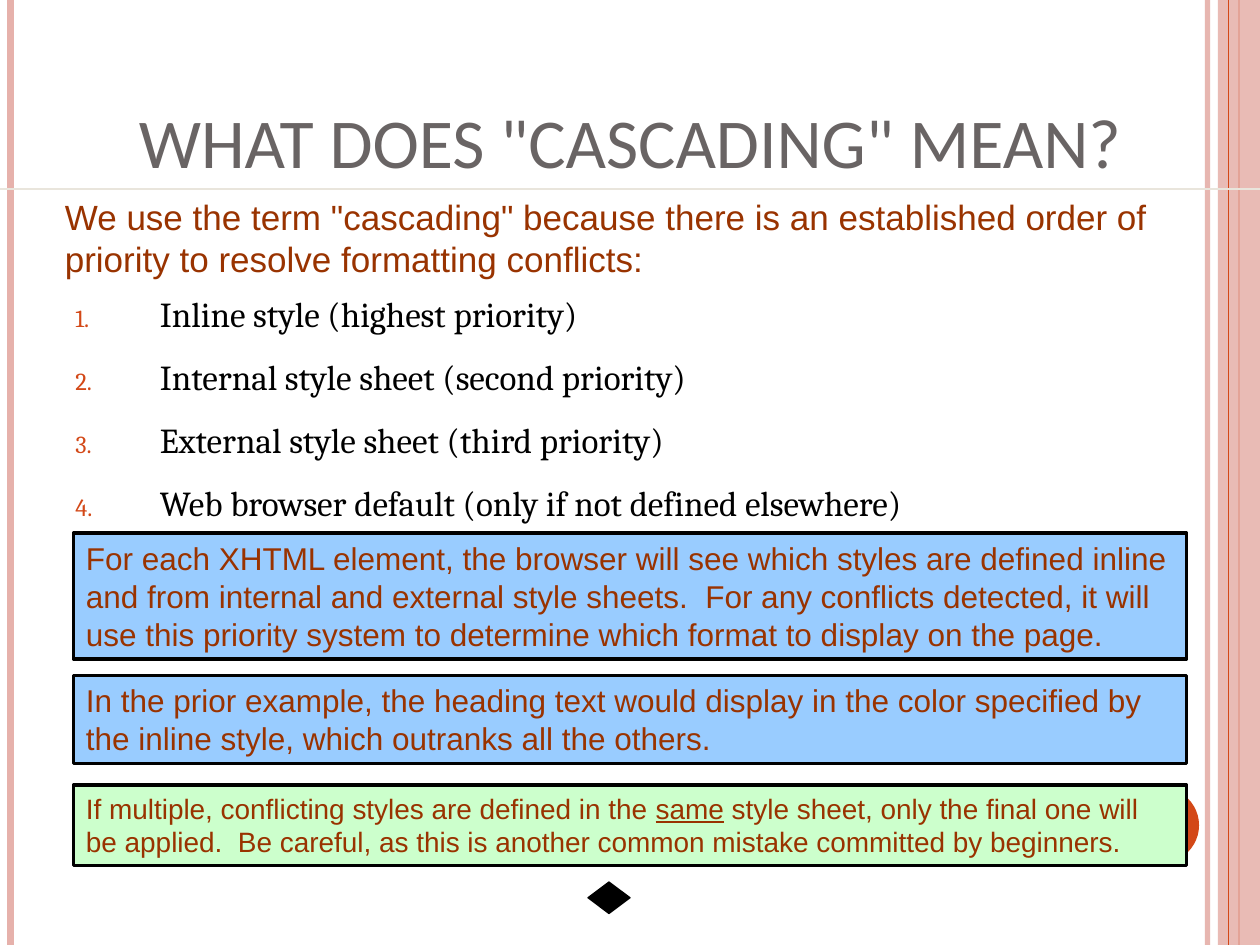
from pptx import Presentation
from pptx.dml.color import RGBColor
from pptx.enum.shapes import MSO_CONNECTOR, MSO_SHAPE
from pptx.enum.text import MSO_ANCHOR, PP_ALIGN
from pptx.oxml.ns import qn
from pptx.util import Inches, Pt
from lxml.etree import SubElement

COLORS = {
    "rose": "E6B1AB", "orange": "D34817", "grey": "696464", "sand": "E9E5DC",
    "rust": "993300", "black": "000000", "blue": "99CCFF", "green": "CCFFCC",
    "white": "FFFFFF",
}
COLUMNS, ROWS = 120, 90  # grid of twelve cells to the inch
CELL = Inches(1 / 12)

TITLE_FONT = {"size": Pt(40), "name": "Calibri", "color": "grey"}
LIST_FONT = {"size": Pt(20), "name": "Cambria", "color": "black"}
INTRO_FONT = {"size": Pt(20), "name": "Arial", "color": "rust"}
NOTE_FONT = {"size": Pt(18), "name": "Arial", "color": "rust"}
CAUTION_FONT = {**NOTE_FONT, "size": Pt(16)}
NOTE_SPACING = {"space_before": Pt(6), "space_after": Pt(6),
                "alignment": PP_ALIGN.LEFT}

PRIORITIES = [
    "Inline style (highest priority)",
    "Internal style sheet (second priority)",
    "External style sheet (third priority)",
    "Web browser default (only if not defined elsewhere)",
]
# Each note: top row, height in rows, fill, font, pieces of text
NOTES = [
    (50.76, 12, "blue", NOTE_FONT, [
        "For each XHTML element, the browser will see which styles are defined "
        "inline and from internal and external style sheets.  For any conflicts "
        "detected, it will use this priority system to determine which format "
        "to display on the page."]),
    (64.32, 8.4, "blue", NOTE_FONT, [
        "In the prior example, the heading text would display in the color "
        "specified by the inline style, which outranks all the others."]),
    (74.76, 7.68, "green", CAUTION_FONT, [
        "If multiple, conflicting styles are defined in the ", "same",
        " style sheet, only the final one will be applied.  Be careful, as this "
        "is another common mistake committed by beginners."]),
]


def rgb(color):
    return RGBColor.from_string(COLORS[color])


def grid(*cells):
    return [round(cell * CELL) for cell in cells]


def set_alpha(part, percent):
    for tint in part._element.spPr.iter(qn("a:srgbClr")):
        SubElement(tint, qn("a:alpha"), val=str(percent * 1000))


def add_rule(slide, start, end, color, width):
    rule = slide.shapes.add_connector(MSO_CONNECTOR.STRAIGHT, *grid(*start, *end))
    rule.line.color.rgb = rgb(color)
    rule.line.width = Pt(width)
    SubElement(rule._element.spPr, qn("a:effectLst"))
    return rule


def add_panel(slide, kind, box, fill, border=None, width=0.75):
    panel = slide.shapes.add_shape(kind, *grid(*box))
    panel.shadow.inherit = False
    panel.fill.solid()
    panel.fill.fore_color.rgb = rgb(fill)
    if border:
        panel.line.color.rgb = rgb(border)
        panel.line.width = Pt(width)
    else:
        panel.line.fill.background()
    return panel


def write(paragraph, words, font, spacing=None):
    run = paragraph.add_run()
    run.text = words
    for key, value in font.items():
        if key == "color":
            run.font.color.rgb = rgb(value)
        else:
            setattr(run.font, key, value)
    for key, value in (spacing or {}).items():
        setattr(paragraph, key, value)
    return run


def add_text(slide, box, anchor=MSO_ANCHOR.TOP):
    frame = slide.shapes.add_textbox(*grid(*box)).text_frame
    frame.word_wrap = True
    frame.vertical_anchor = anchor
    return frame


def add_frame(slide, box):
    """Stripes along both sides, and the disc near the lower right corner."""
    left, top, width, height = box
    bottom, right = top + height, left + width

    def stripe(x, color, weight):
        return add_rule(slide, (x, top), (x, bottom), color, weight)

    set_alpha(stripe(right - 5, "rose", 3), 93)
    stripe(left + 1, "rose", 4.5)
    stripe(right - 2, "orange", 1.5)
    band = add_panel(slide, MSO_SHAPE.RECTANGLE, (right - 4, top, 4, height), "rose")
    set_alpha(band, 87)
    stripe(right - 3, "orange", 0.75)
    add_panel(slide, MSO_SHAPE.OVAL, (right - 13, bottom - 15, 7.2, 7.2), "orange")


def add_heading(slide, box):
    frame = add_text(slide, box, MSO_ANCHOR.BOTTOM)
    write(frame.paragraphs[0], 'WHAT DOES "CASCADING" MEAN?', TITLE_FONT,
          {"alignment": PP_ALIGN.CENTER})
    underline = box[1] + box[3]
    add_rule(slide, (0, underline), (COLUMNS, underline), "sand", 1.25)


def add_intro(slide, box):
    write(add_text(slide, box).paragraphs[0],
          'We use the term "cascading" because there is an established order of '
          "priority to resolve formatting conflicts:", INTRO_FONT)


def add_priorities(slide, box):
    frame = add_text(slide, box)
    indent = Inches(0.67)
    for index, priority in enumerate(PRIORITIES):
        item = frame.add_paragraph() if index else frame.paragraphs[0]
        write(item, priority, LIST_FONT,
              {"line_spacing": Pt(30), "space_before": Pt(6)})
        # Hanging number, smaller than the text
        layout = item._p.get_or_add_pPr()
        layout.set("marL", str(indent))
        layout.set("indent", str(-indent))
        tint = SubElement(layout, qn("a:buClr"))
        SubElement(tint, qn("a:srgbClr"), val=COLORS["orange"])
        SubElement(layout, qn("a:buSzPct"), val="70000")
        SubElement(layout, qn("a:buFont"), typeface=LIST_FONT["name"])
        SubElement(layout, qn("a:buAutoNum"), type="arabicPeriod")


def add_notes(slide, left, width):
    for top, height, fill, font, pieces in NOTES:
        note = add_panel(slide, MSO_SHAPE.RECTANGLE, (left, top, width, height),
                         fill, "black", 2)
        frame = note.text_frame
        frame.word_wrap = True
        frame.vertical_anchor = MSO_ANCHOR.TOP
        for index, piece in enumerate(pieces):
            run = write(frame.paragraphs[0], piece, font, NOTE_SPACING)
            if index % 2:  # every second piece is stressed
                run.font.underline = True


def main():
    deck = Presentation()
    deck.slide_width, deck.slide_height = grid(COLUMNS, ROWS)
    slide = deck.slides.add_slide(deck.slide_layouts[6])
    slide.background.fill.solid()
    slide.background.fill.fore_color.rgb = rgb("white")

    add_frame(slide, (0, 0, COLUMNS, ROWS))
    add_heading(slide, (6, 5, 108, 13))
    add_priorities(slide, (6, 26.28, 107, 25))
    add_intro(slide, (5, 18, 109, 9))
    add_notes(slide, 7, 106)
    # End mark
    add_panel(slide, MSO_SHAPE.DIAMOND, (56, 84, 4, 3), "black", "black")
    deck.save("out.pptx")


if __name__ == "__main__":
    main()
